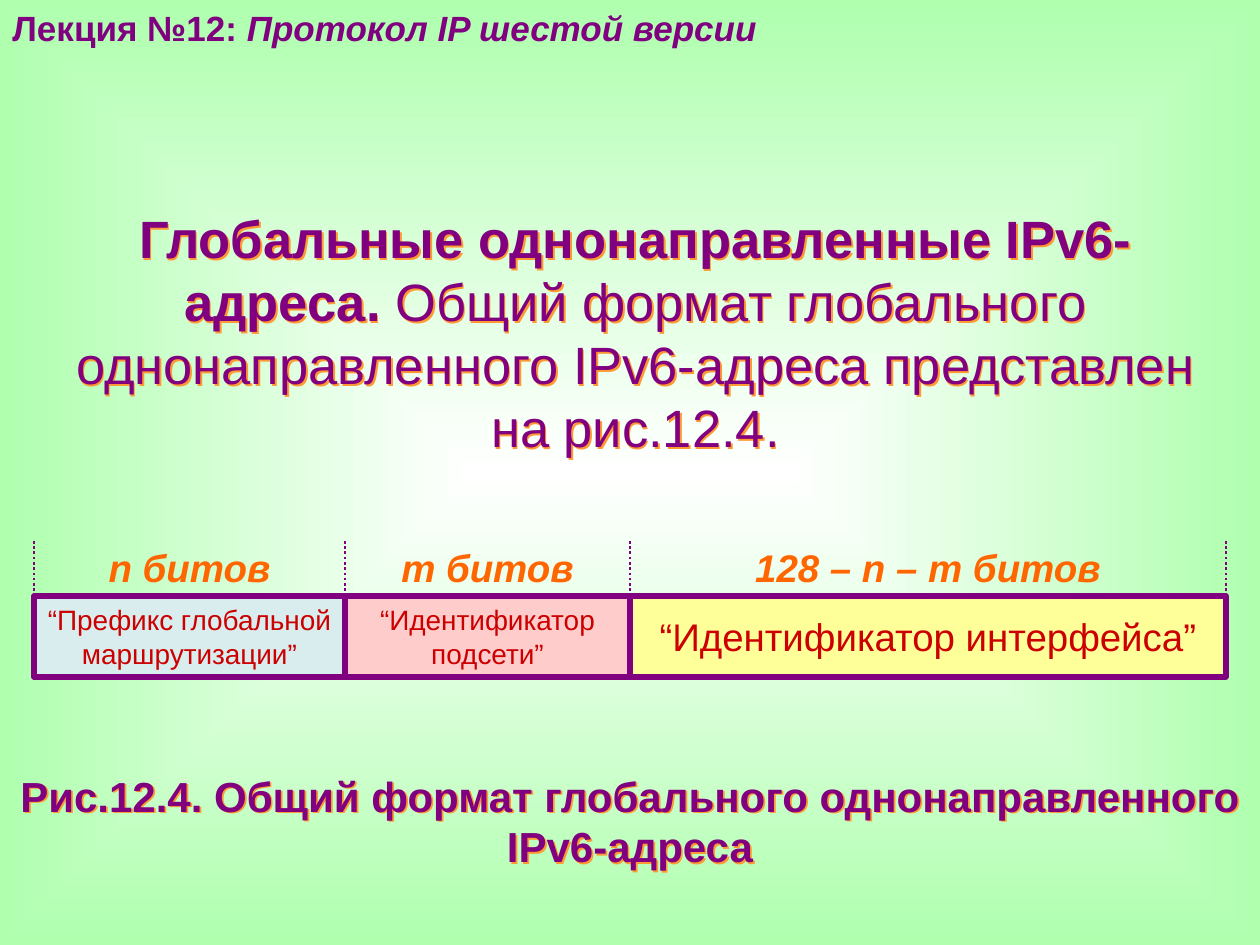
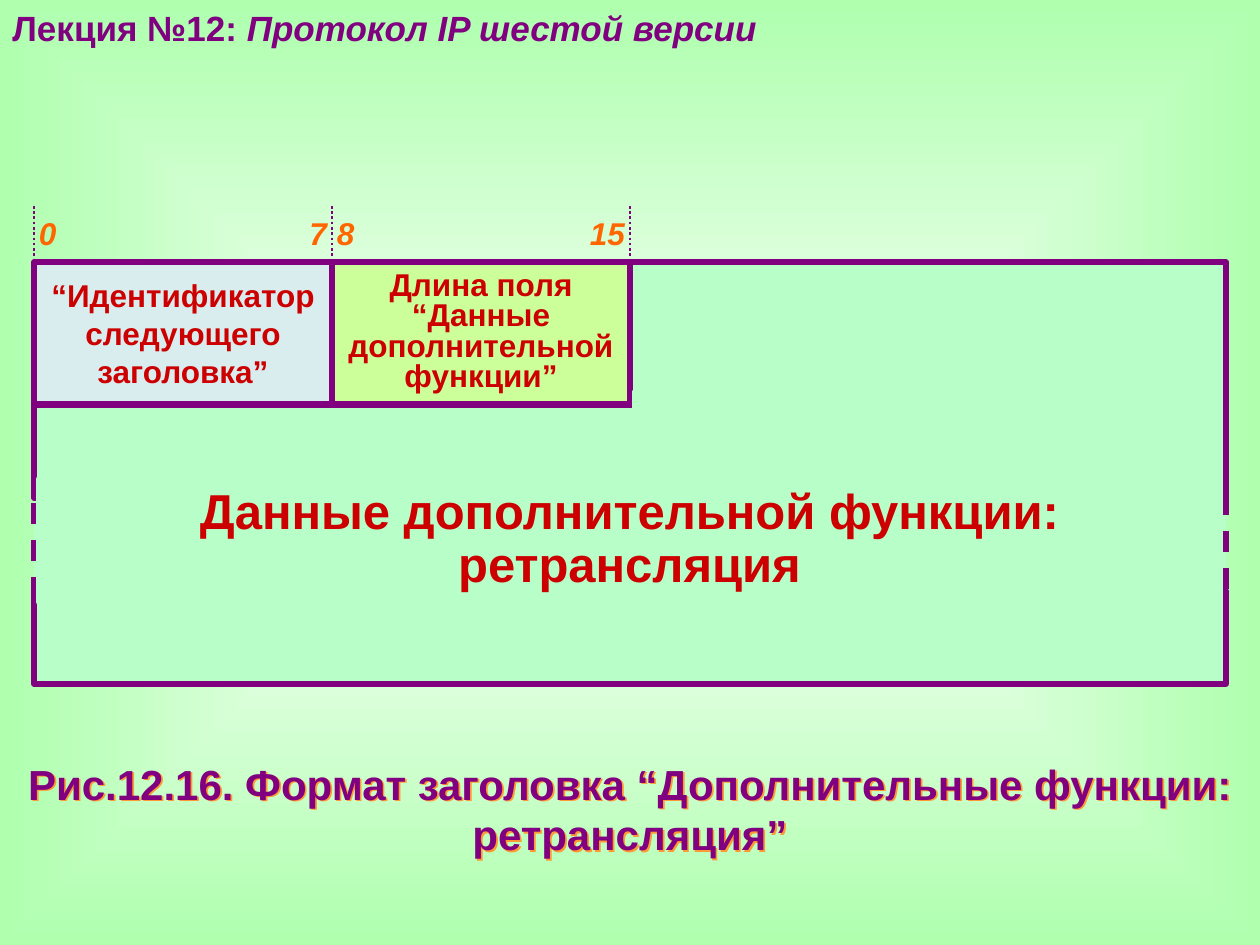
from pptx import Presentation, oxml
from pptx import util as u
from pptx.dml.color import RGBColor
from pptx.enum import dml, shapes, text

PX = 914400 // 126
COLORS = {
    "purple": "800080", "orange": "FF6600", "red": "CC0000", "glow": "FF9933",
    "white": "FFFFFF", "edge": "AFFFAF", "blue": "D9EDEF", "pink": "FFCCCC",
    "yellow": "FFFF99", "lime": "CCFF99", "mint": "B8FEC9",
}
RGB = {name: RGBColor.from_string(value) for name, value in COLORS.items()}
NS = 'xmlns:a="http://schemas.openxmlformats.org/drawingml/2006/main"'
NS_P = 'xmlns:p="http://schemas.openxmlformats.org/presentationml/2006/main"'
BACKGROUND = f"""<p:bg {NS_P} {NS}><p:bgPr><a:gradFill rotWithShape="0"><a:gsLst>
<a:gs pos="0"><a:srgbClr val="{COLORS['white']}"/></a:gs>
<a:gs pos="100000"><a:srgbClr val="{COLORS['edge']}"/></a:gs></a:gsLst>
<a:path path="shape"><a:fillToRect l="50000" t="50000" r="50000" b="50000"/></a:path>
</a:gradFill><a:effectLst/></p:bgPr></p:bg>"""
TEXT_SHADOW = f"""<a:effectLst {NS}><a:outerShdw dist="17961" dir="2700000" algn="ctr"
rotWithShape="0"><a:srgbClr val="{COLORS['glow']}"/></a:outerShdw></a:effectLst>"""
BLACK_FREE = f"<a:effectLst {NS}/>"

LEFT, RIGHT, MIDDLE = 34, 1226, 630
CENTER = text.PP_ALIGN.CENTER


def write(box, paragraphs, size, color, inset=0, align=CENTER, spacing=None):
    """Fill a box; each paragraph is a list of (words, bold, italic) runs."""
    frame = box.text_frame
    frame.word_wrap = True
    if inset == 0:
        frame.vertical_anchor = text.MSO_ANCHOR.MIDDLE
        frame.margin_left = frame.margin_right = 0
        frame.margin_top = frame.margin_bottom = 0
    for index, runs in enumerate(paragraphs):
        para = frame.add_paragraph() if index else frame.paragraphs[0]
        para.alignment = align
        if spacing:
            para.line_spacing = spacing
        for words, bold, italic in runs:
            span = para.add_run()
            span.text = words
            span.font.name = "Arial"
            span.font.size = u.Pt(size)
            span.font.bold, span.font.italic = bold, italic
            span.font.color.rgb = RGB[color]


def add_cell(page, x, y, width, height, fill, line="purple", weight=3):
    cell = page.shapes.add_shape(shapes.MSO_SHAPE.RECTANGLE, *[n * PX for n in (x, y, width, height)])
    cell.shadow.inherit = False
    cell.fill.solid()
    cell.fill.fore_color.rgb = RGB[fill]
    cell.line.color.rgb = RGB[line]
    cell.line.width = u.Pt(weight)
    return cell


deck = Presentation()
deck.slide_width, deck.slide_height = u.Inches(10), u.Inches(7.5)

# Shared parts: background, lecture header, field marks, caption
slides = [
    (764, "Рис.12.4. Общий формат глобального однонаправленного IPv6-адреса",
     541, (LEFT, 345, MIDDLE, RIGHT)),
    (752, "Рис.12.16. Формат заголовка “Дополнительные функции: ретрансляция”",
     206, (LEFT, 332, MIDDLE)),
]
pages = []
for caption_top, caption, mark_top, marks in slides:
    page = deck.slides.add_slide(deck.slide_layouts[6])
    page.element.cSld.insert(0, oxml.parse_xml(BACKGROUND))
    pages.append(page)

    header = page.shapes.add_textbox(0, 0, 804 * PX, 54 * PX)
    write(header, [[("Лекция №12: ", True, False), ("Протокол IP шестой версии", True, True)]],
          20, "purple", inset=1, align=text.PP_ALIGN.LEFT)

    box = page.shapes.add_textbox(0, caption_top * PX, 1260 * PX, 113 * PX)
    box.element.spPr.append(oxml.parse_xml(TEXT_SHADOW))
    write(box, [[(caption, True, False)]], 24, "purple", inset=1)

    for x in marks:
        mark = page.shapes.add_connector(shapes.MSO_CONNECTOR.STRAIGHT, x * PX, mark_top * PX,
                                         x * PX, (mark_top + 75) * PX)
        mark.line.color.rgb = RGB["purple"]
        mark.line.width = u.Pt(1.5)
        mark.line.dash_style = dml.MSO_LINE.ROUND_DOT
        mark.element.spPr.append(oxml.parse_xml(BLACK_FREE))

address_page, header_page = pages

# Slide 1: introduction
intro = address_page.shapes.add_textbox(40 * PX, 200 * PX, 1191 * PX, 264 * PX)
intro.element.spPr.append(oxml.parse_xml(TEXT_SHADOW))
write(intro, [[("Глобальные однонаправленные IPv6-адреса.", True, False),
               (" Общий формат глобального однонаправленного IPv6-адреса представлен на рис.12.4.",
                False, False)]], 30, "purple", inset=1)

# Slide 1: address fields
address_fields = [
    (LEFT, 345, "n битов", "“Префикс глобальной маршрутизации”", 16, "blue"),
    (345, MIDDLE, "m битов", "“Идентификатор подсети”", 16, "pink"),
    (MIDDLE, RIGHT, "128 – n – m битов", "“Идентификатор интерфейса”", 22, "yellow"),
]
for start, end, bits, name, size, fill in address_fields:
    label = address_page.shapes.add_textbox(start * PX, 541 * PX, (end - start) * PX, 53 * PX)
    write(label, [[(bits, True, True)]], 22, "orange")
    cell = add_cell(address_page, start, 596, end - start, 81, fill)
    write(cell, [[(name, False, False)]], size, "red")

# Slide 2: header fields with bit numbers at both ends
header_fields = [
    (LEFT, "0\t7", ["“Идентификатор", "следующего заголовка”"], None, "blue"),
    (332, "8\t15", ["Длина поля", "“Данные дополнительной функции”"], 0.8, "lime"),
]
for start, bits, lines, spacing, fill in header_fields:
    cell = add_cell(header_page, start, 262, 298, 142, fill)
    write(cell, [[(line, True, False)] for line in lines], 18, "red", spacing=spacing)
    label = header_page.shapes.add_textbox((start + 5) * PX, 206 * PX, 293 * PX, 53 * PX)
    tabs = oxml.parse_xml(f'<a:tabLst {NS}><a:tab pos="{288 * PX}" algn="r"/></a:tabLst>')
    label.text_frame.paragraphs[0]._p.get_or_add_pPr().append(tabs)
    write(label, [[(bits, True, True)]], 18, "orange", align=text.PP_ALIGN.LEFT)

# Slide 2: data field, with broken sides in its middle row
add_cell(header_page, MIDDLE, 262, RIGHT - MIDDLE, 142, "mint")
for row in (1, 2, 0):
    cell = add_cell(header_page, LEFT, 405 + row * 93, RIGHT - LEFT, 93, "mint")
    if row == 1:
        cell.line.dash_style = dml.MSO_LINE.DASH
add_cell(header_page, 636, 392, 584, 25, "mint", "mint", 4)
data = add_cell(header_page, 40, 479, 1179, 123, "mint", "mint", 4.5)
write(data, [[("Данные дополнительной функции: ретрансляция", True, False)]], 28, "red", spacing=0.9)

deck.save("out.pptx")
